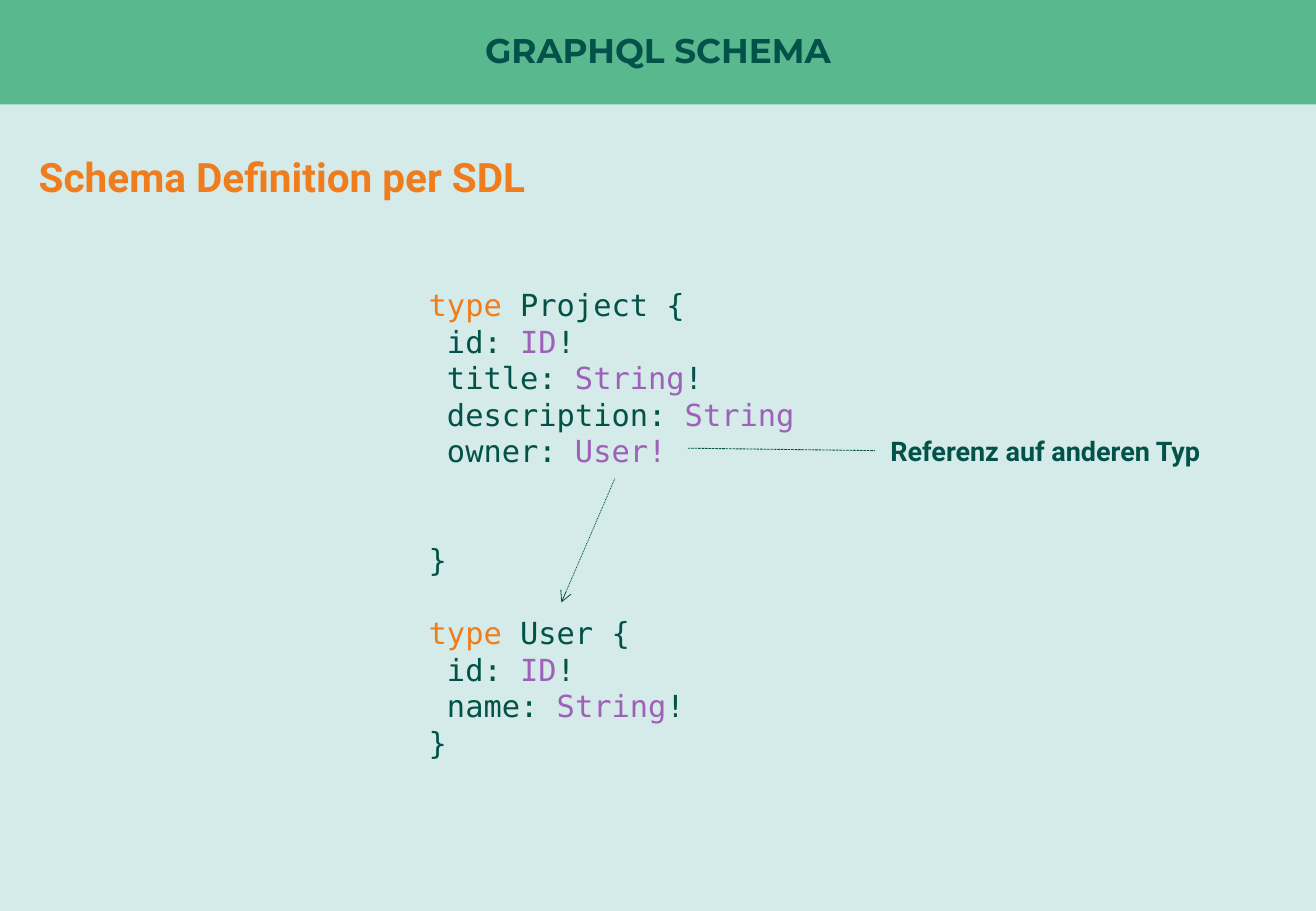
from pptx import Presentation
from pptx.dml.color import RGBColor
from pptx.enum.dml import MSO_LINE
from pptx.enum.shapes import MSO_CONNECTOR, MSO_SHAPE
from pptx.enum.text import MSO_ANCHOR, PP_ALIGN
from pptx.oxml.ns import qn
from pptx.util import Pt
from lxml import etree

PX = 9144  # 100 px per inch
WIDTH, HEIGHT, BAND = 1083, 750, 86
MINT = RGBColor(0xD4, 0xEB, 0xE9)
GREEN = RGBColor(0x5A, 0xB8, 0x8F)
DARK = RGBColor(0x02, 0x52, 0x49)
ORANGE = RGBColor(0xEF, 0x7D, 0x1D)
PURPLE = RGBColor(0x9E, 0x60, 0xB8)
RECT = MSO_SHAPE.RECTANGLE
STRAIGHT = MSO_CONNECTOR.STRAIGHT
DOT, DASH = MSO_LINE.ROUND_DOT, MSO_LINE.SQUARE_DOT
MIDDLE, CENTER = MSO_ANCHOR.MIDDLE, PP_ALIGN.CENTER
MONO = "DejaVu Sans Mono"
LINE = 21.6  # height of a code line in points


def style(run, face, size, color, bold=False):
    run.font.name = face
    run.font.size = Pt(size)
    run.font.color.rgb = color
    run.font.bold = bold


def add_box(x, y, w, h):
    box = slide.shapes.add_textbox(x * PX, y * PX, w * PX, h * PX)
    box.text_frame.word_wrap = True
    return box.text_frame


deck = Presentation()
deck.slide_width, deck.slide_height = WIDTH * PX, HEIGHT * PX
slide = deck.slides.add_slide(deck.slide_layouts[6])
slide.background.fill.solid()
slide.background.fill.fore_color.rgb = MINT

# Header band
band = slide.shapes.add_shape(RECT, 0, 0, WIDTH * PX, BAND * PX)
band.shadow.inherit = False
band.fill.solid()
band.fill.fore_color.rgb = GREEN
band.line.fill.background()

# Title
title = add_box(0, 0, WIDTH, BAND)
title.margin_left = title.margin_right = 0
title.margin_top = title.margin_bottom = 0
title.vertical_anchor = MIDDLE
para = title.paragraphs[0]
para.text = "GRAPHQL SCHEMA"
para.alignment = CENTER
para.line_spacing = 0.9
style(para.runs[0], "Montserrat", 20.3, DARK, True)

# Heading
para = add_box(22, 112, 1039, 55).paragraphs[0]
para.text = "Schema Definition per SDL"
para.line_spacing = 1.2
style(para.runs[0], "Roboto", 24, ORANGE, True)

# Schema code: blank lines before, then keyword, plain, type, plain
code = [
    (0, "type", " Project {", "", ""),
    (0, "", " id: ", "ID", "!"),
    (0, "", " title: ", "String", "!"),
    (0, "", " description: ", "String", ""),
    (0, "", " owner: ", "User!", ""),
    (2, "", "}", "", ""),
    (1, "type", " User {", "", ""),
    (0, "", " id: ", "ID", "!"),
    (0, "", " name: ", "String", "!"),
    (0, "", "}", "", ""),
]
frame = add_box(343, 231, 447, 495)
for row, (gap, *parts) in enumerate(code):
    para = frame.add_paragraph() if row else frame.paragraphs[0]
    if gap:
        para.space_before = Pt(gap * LINE)
    for text, color in zip(parts, (ORANGE, DARK, PURPLE, DARK)):
        if text:
            run = para.add_run()
            run.text = text
            style(run, MONO, 18, color)

# Note on the reference
para = add_box(723, 353, 320, 37).paragraphs[0]
para.text = "Referenz auf anderen Typ"
style(para.runs[0], "Roboto", 16, DARK, True)

# Arrow to the User type, and line to the note
for x1, y1, x2, y2, dash, arrow in [
    (506, 394, 462, 496, DOT, True),
    (566, 369, 720, 371, DASH, False),
]:
    link = slide.shapes.add_connector(STRAIGHT, x1 * PX, y1 * PX, x2 * PX, y2 * PX)
    link.line.color.rgb = DARK
    link.line.width = Pt(0.5)
    link.line.dash_style = dash
    props = link.element.spPr
    if arrow:
        etree.SubElement(props.find(qn("a:ln")), qn("a:tailEnd"), type="arrow")
    etree.SubElement(props, qn("a:effectLst"))

deck.save("out.pptx")
